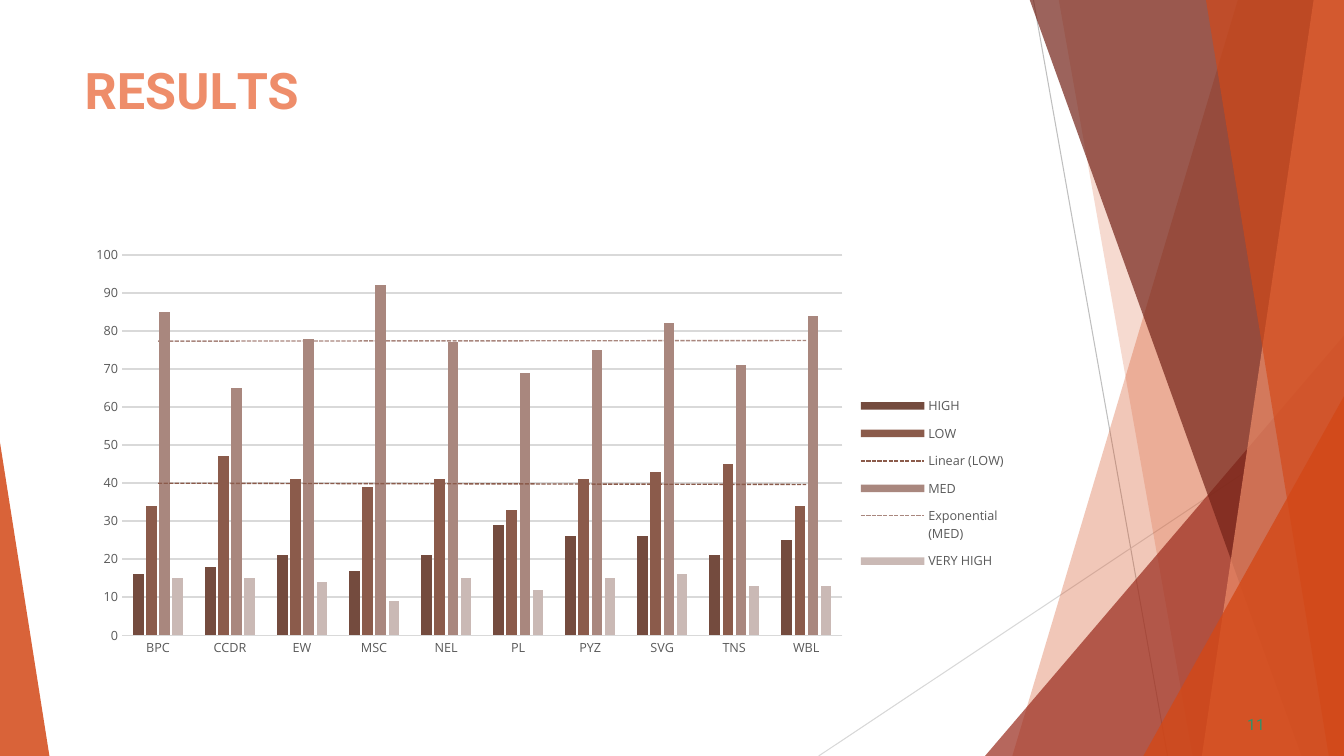
from lxml import etree
from pptx import Presentation
from pptx.chart.data import CategoryChartData
from pptx.dml.color import RGBColor
from pptx.enum.chart import XL_CHART_TYPE, XL_LEGEND_POSITION, XL_TICK_MARK
from pptx.enum.shapes import MSO_CONNECTOR, MSO_SHAPE
from pptx.enum.text import MSO_ANCHOR, MSO_AUTO_SIZE, PP_ALIGN
from pptx.oxml import parse_xml
from pptx.oxml.ns import nsdecls, qn
from pptx.util import Inches, Pt

COLUMNS = XL_CHART_TYPE.COLUMN_CLUSTERED
LEGEND_RIGHT = XL_LEGEND_POSITION.RIGHT
NO_TICK = XL_TICK_MARK.NONE
STRAIGHT = MSO_CONNECTOR.STRAIGHT
TRIANGLE = MSO_SHAPE.ISOSCELES_TRIANGLE

WIDTH, HEIGHT = 13.33, 7.5
ORANGE, SALMON = "D34817", "EE8D6A"
GREY, GRID = "595959", "D9D9D9"

CATEGORIES = ["BPC", "CCDR", "EW", "MSC", "NEL", "PL", "PYZ", "SVG", "TNS", "WBL"]
# name, colour, trend line type, values
SERIES = [
    ("HIGH", "744B3E", None, [16, 18, 21, 17, 21, 29, 26, 26, 21, 25]),
    ("LOW", "8B5B4B", "linear", [34, 47, 41, 39, 41, 33, 41, 43, 45, 34]),
    ("MED", "A9877E", "exp", [85, 65, 78, 92, 77, 69, 75, 82, 71, 84]),
    ("VERY HIGH", "CAB9B5", None, [15, 15, 14, 9, 15, 12, 15, 16, 13, 13]),
]


def rgb(value):
    return RGBColor.from_string(value)


def style_font(font, name, size, color, bold=False):
    font.name, font.size, font.bold = name, Pt(size), bold
    font.color.rgb = rgb(color)


def paint(shape, color, opacity):
    """Flat fill with the given opacity in percent, no outline."""
    shape.shadow.inherit = False
    shape.fill.solid()
    shape.fill.fore_color.rgb = rgb(color)
    fill_color = shape.fill._xPr.find(qn("a:solidFill"))[0]
    etree.SubElement(fill_color, qn("a:alpha"), val=str(opacity * 1000))
    shape.line.fill.background()


def add_line(slide, start, end, color):
    line = slide.shapes.add_connector(STRAIGHT, *map(Inches, start + end))
    line.line.color.rgb = rgb(color)
    line.line.width = Pt(0.75)
    etree.SubElement(line.element.spPr, qn("a:effectLst"))


def add_band(slide, top_left, bottom_left, color, opacity):
    """Band from a slanted left edge to the right edge of the slide."""
    builder = slide.shapes.build_freeform(Inches(top_left), Inches(-0.01), scale=1.0)
    corners = [(WIDTH, -0.01), (WIDTH, HEIGHT), (bottom_left, HEIGHT)]
    builder.add_line_segments([(Inches(x), Inches(y)) for x, y in corners], close=True)
    paint(builder.convert_to_shape(), color, opacity)


def add_triangle(slide, left, width, height, apex, color, opacity):
    """Triangle standing on the bottom edge; apex is 0 (left) or 1 (right)."""
    triangle = slide.shapes.add_shape(
        TRIANGLE, *map(Inches, (left, HEIGHT - height, width, height)))
    triangle.adjustments[0] = apex
    paint(triangle, color, opacity)


def add_decoration(slide):
    add_line(slide, (10.25, 0), (11.58, HEIGHT), "BFBFBF")
    add_line(slide, (WIDTH, 4.03), (8.12, HEIGHT), "D8D8D8")
    add_band(slide, 12.28, 10.04, ORANGE, 30)
    add_band(slide, 10.5, 11.83, ORANGE, 20)
    add_triangle(slide, 9.77, 3.56, 4.17, 1, "9B2D1F", 72)
    add_band(slide, 10.21, 12.91, "732217", 70)
    add_band(slide, 13.03, 11.92, SALMON, 70)
    add_band(slide, 11.96, 13.18, ORANGE, 65)
    add_triangle(slide, 11.34, 1.99, 3.57, 1, ORANGE, 80)
    add_triangle(slide, 0, 0.49, 3.11, 0, ORANGE, 85)


def fill_text(shape, box, pieces, size, color, bold, indent, space_before):
    """Place a text shape and write (text, letter spacing in points) pieces."""
    shape.left, shape.top, shape.width, shape.height = map(Inches, box)
    frame = shape.text_frame
    frame.word_wrap = True
    frame.auto_size = MSO_AUTO_SIZE.SHAPE_TO_FIT_TEXT
    frame.vertical_anchor = MSO_ANCHOR.TOP
    frame.margin_left = frame.margin_right = frame.margin_bottom = 0
    frame.margin_top = Inches(0.01)
    paragraph = frame.paragraphs[0]
    paragraph.alignment = PP_ALIGN.LEFT
    paragraph.space_before = Pt(space_before)
    properties = paragraph._p.get_or_add_pPr()
    properties.set("marL", str(Inches(indent)))
    properties.set("indent", "0")
    for text, spacing in pieces:
        run = paragraph.add_run()
        run.text = text
        style_font(run.font, "Roboto", size, color, bold)
        run.font._element.set("spc", str(round(spacing * 100)))


def set_layout(parent, before, box, inner=False):
    """Fix the plot area or legend at fractions of the chart."""
    for old in parent.findall(qn("c:layout")):
        parent.remove(old)
    target = '<c:layoutTarget val="inner"/>' if inner else ""
    modes = '<c:xMode val="edge"/><c:yMode val="edge"/>'
    values = "".join(f'<c:{key} val="{value}"/>' for key, value in zip("xywh", box))
    parent.find(qn(before)).addprevious(parse_xml(
        f'<c:layout {nsdecls("c")}><c:manualLayout>{target}{modes}{values}'
        "</c:manualLayout></c:layout>"))


def add_trend(series, kind, color):
    series._element.find(qn("c:cat")).addprevious(parse_xml(
        f'<c:trendline {nsdecls("c", "a")}><c:spPr><a:ln w="12700">'
        f'<a:solidFill><a:srgbClr val="{color}"/></a:solidFill>'
        '<a:prstDash val="sysDash"/></a:ln></c:spPr>'
        f'<c:trendlineType val="{kind}"/><c:dispRSqr val="0"/>'
        '<c:dispEq val="0"/></c:trendline>'))


def add_results_chart(slide, box):
    data = CategoryChartData()
    data.categories = CATEGORIES
    for name, _, _, values in SERIES:
        data.add_series(name, values)
    chart = slide.shapes.add_chart(COLUMNS, *map(Inches, box), data).chart
    chart.has_title = False
    style_font(chart.font, "Open Sans", 10, "000000")

    # Columns and trend lines
    plot = chart.plots[0]
    plot.vary_by_categories = False
    plot.gap_width, plot.overlap = 219, -27
    for series, (_, color, trend, _) in zip(plot.series, SERIES):
        series.format.fill.solid()
        series.format.fill.fore_color.rgb = rgb(color)
        if trend:
            add_trend(series, trend, color)

    # Axes
    category_axis, value_axis = chart.category_axis, chart.value_axis
    for axis in (category_axis, value_axis):
        axis.major_tick_mark = axis.minor_tick_mark = NO_TICK
        style_font(axis.tick_labels.font, "Open Sans", 9, GREY)
    value_axis.minimum_scale, value_axis.maximum_scale = 0, 100
    value_axis.major_unit = 10
    value_axis.format.line.fill.background()
    for line in (category_axis.format.line, value_axis.major_gridlines.format.line):
        line.color.rgb = rgb(GRID)
        line.width = Pt(1)

    # Legend
    chart.has_legend = True
    chart.legend.position = LEGEND_RIGHT
    chart.legend.include_in_layout = False
    style_font(chart.legend.font, "Open Sans", 9, GREY)
    set_layout(plot._element.getparent(), "c:barChart", (0.05, 0.04, 0.76, 0.89), True)
    set_layout(chart.legend._element, "c:overlay", (0.82, 0.35, 0.17, 0.45))


def build_results_slide(presentation):
    slide = presentation.slides.add_slide(presentation.slide_layouts[5])
    add_decoration(slide)

    # Title, moved in front of the decoration
    title = slide.shapes.title
    slide.shapes._spTree.append(title.element)
    letters = [("R", 0), ("E", -0.4), ("S", 0.1), ("U", -0.3), ("L", -4), ("TS", 0)]
    fill_text(title, (0.83, 0.58, 9.4, 0.49), letters, 36, SALMON, True, 0.01, 1)

    # Page number
    number_box = (12.33, 7.08, 0.25, 0.15)
    number = slide.shapes.add_textbox(*map(Inches, number_box))
    fill_text(number, number_box, [("11", 0.1)], 11, "2D936B", False, 0.04, 0.6)

    add_results_chart(slide, (0.74, 2.36, 9.4, 4.24))


def main():
    presentation = Presentation()
    presentation.slide_width = Inches(WIDTH)
    presentation.slide_height = Inches(HEIGHT)
    build_results_slide(presentation)
    presentation.save("out.pptx")


if __name__ == "__main__":
    main()
